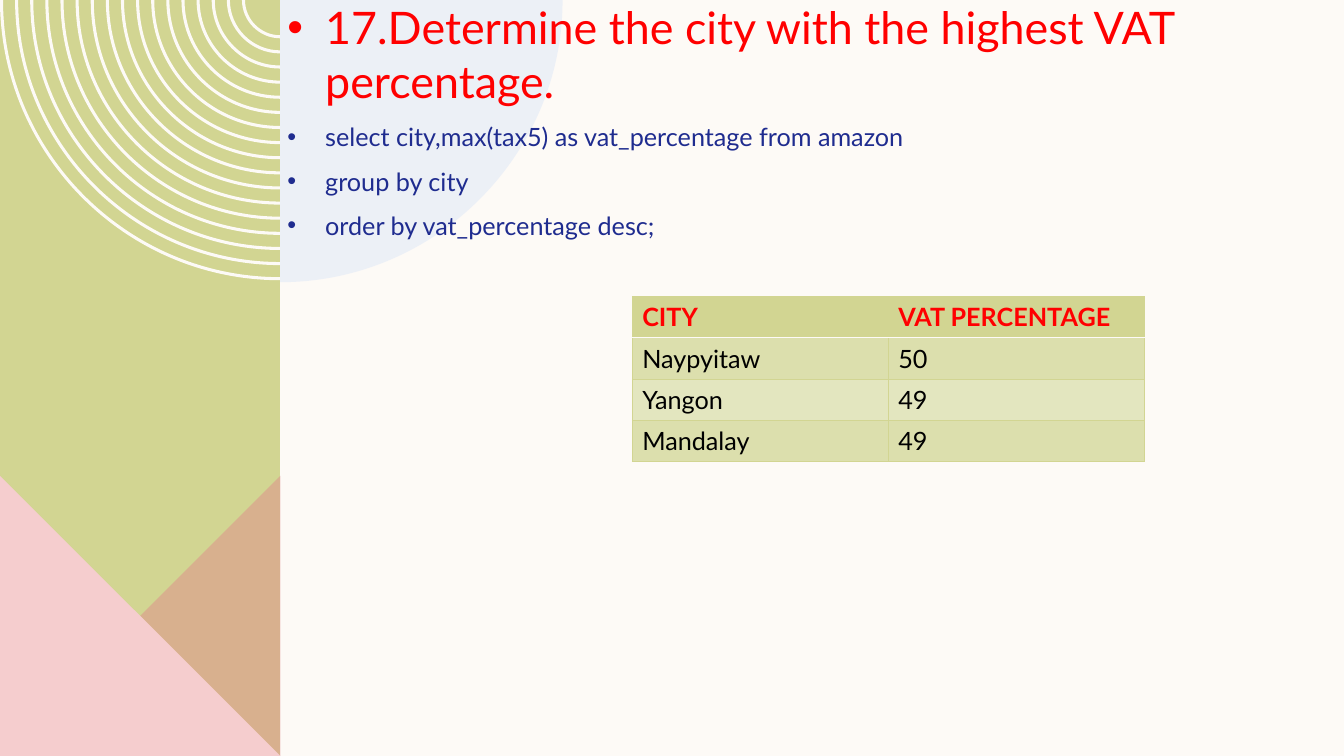
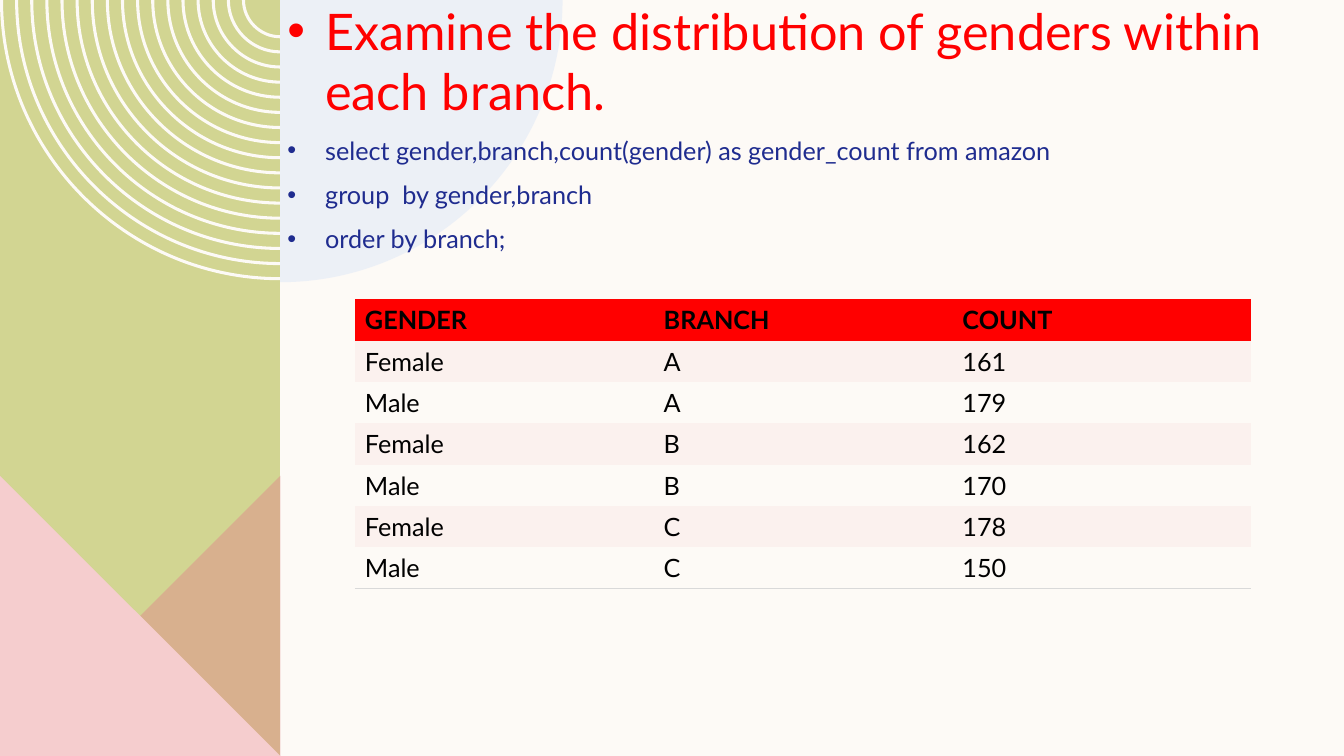
from dataclasses import dataclass

from lxml.etree import SubElement
from pptx import Presentation
from pptx.dml.color import RGBColor
from pptx.enum.text import MSO_ANCHOR, MSO_AUTO_SIZE
from pptx.oxml import parse_xml
from pptx.oxml.ns import nsdecls, qn
from pptx.util import Inches, Pt

TOP = MSO_ANCHOR.TOP
MIDDLE = MSO_ANCHOR.MIDDLE
FIXED = MSO_AUTO_SIZE.NONE
PLAIN = "{2D5ABB26-0587-4C30-8999-92F81FD0307C}"


@dataclass(frozen=True)
class Theme:
    font: str = "Lato"
    text: int = 18
    cream: str = "FDFAF6"
    green: str = "D2D592"
    lime: str = "DCDFAD"
    pale: str = "E3E6BF"
    rose: str = "DE8C8C"
    pink: str = "F5CDCE"
    blush: str = "FBF1EE"
    sky: str = "DDE7F6"
    red: str = "FF0000"
    navy: str = "1F2C8F"
    black: str = "000000"
    grey: str = "D9D9D9"


THEME = Theme()
WIDE, HIGH, SIDE = 13.33, 7.5, 2.78
ROW = 0.41


def paint(fill, hue):
    if hue is None:
        fill.background()
        return
    fill.solid()
    fill.fore_color.rgb = RGBColor.from_string(hue)


def style(para, size, hue, bold=False):
    font = para.font
    font.name = THEME.font
    font.size = Pt(size)
    font.bold = bold
    font.color.rgb = RGBColor.from_string(hue)


def arc(mid, radius, way):
    reach, pull = way * radius, 0.55
    return [
        (mid, radius),
        (mid + pull * reach, radius),
        (mid + reach, pull * radius),
        (mid + reach, 0),
    ]


def bend(shape, count, starts):
    trace = shape.element.find(".//" + qn("a:path"))
    lines = trace.findall(qn("a:lnTo"))
    for base in range(0, len(lines), count):
        for start in starts:
            group = lines[base + start:base + start + 3]
            curve = SubElement(trace, qn("a:cubicBezTo"))
            group[0].addprevious(curve)
            for line in group:
                curve.append(line[0])
                trace.remove(line)


def draw(shapes, loops, hue, alpha=100, bends=()):
    loops = [[(Inches(x), Inches(y)) for x, y in loop] for loop in loops]
    pen = shapes.build_freeform(*loops[0][0])
    for i, loop in enumerate(loops):
        if i:
            pen.move_to(*loop[0])
        pen.add_line_segments(loop[1:], close=True)
    shape = pen.convert_to_shape()
    bend(shape, len(loops[0]) - 1, bends)
    shape.shadow.inherit = False
    paint(shape.fill, hue)
    shape.line.fill.background()
    if alpha < 100:
        mark = shape.element.find(".//" + qn("a:srgbClr"))
        SubElement(mark, qn("a:alpha")).set("val", str(alpha * 1000))
    return shape


def add_art(shapes, side, high):
    top = high - side
    rings = [
        arc(side, side - 0.15 * i, -1)
        + arc(side, side - 0.15 * i - 0.03, -1)[::-1]
        for i in range(17)
    ]
    disc = [(side, 0)] + arc(side, 2.8, 1)
    return [
        draw(shapes, [[(0, 0), (side, 0), (side, high), (0, high)]], THEME.green),
        draw(shapes, rings, THEME.cream, bends=(0, 4)),
        draw(shapes, [[(side, top), (side, high), (0, high)]], THEME.rose, 50),
        draw(shapes, [[(0, top), (side, high), (0, high)]], THEME.pink),
        draw(shapes, [disc], THEME.sky, 50, bends=(1,)),
    ]


def set_master(deck, slide):
    master = deck.slide_master
    paint(master.background.fill, THEME.cream)
    for i, shape in enumerate(add_art(slide.shapes, SIDE, HIGH)):
        master.shapes.element.insert(2 + i, shape.element)


def add_query(slide, box, head, size, code):
    title = slide.shapes.title.element
    title.getparent().remove(title)
    body = slide.placeholders[1]
    body.left, body.top, body.width, body.height = map(Inches, box)
    frame = body.text_frame
    frame.word_wrap = True
    frame.auto_size = FIXED
    frame.vertical_anchor = TOP
    frame.margin_top = frame.margin_bottom = 0
    frame.text = "\n".join([head, *code])
    for i, para in enumerate(frame.paragraphs):
        para.space_before = Pt(10 if i else 0)
        style(para, THEME.text if i else size, THEME.navy if i else THEME.red)


def add_grid(slide, box, rows, fills, ink):
    left, top, width = box
    count = len(rows[0])
    frame = slide.shapes.add_table(
        len(rows), count, Inches(left), Inches(top),
        Inches(width), Inches(ROW * len(rows)),
    )
    frame.element.find(".//" + qn("a:tableStyleId")).text = PLAIN
    table = frame.table
    for col in table.columns:
        col.width = Inches(width / count)
    for i, row in enumerate(rows):
        table.rows[i].height = Inches(ROW)
        hue = fills[2 - i % 2] if i else fills[0]
        for j, word in enumerate(row):
            cell = table.cell(i, j)
            cell.text = word
            cell.vertical_anchor = MIDDLE if i else TOP
            paint(cell.fill, hue)
            style(cell.text_frame.paragraphs[0], THEME.text,
                  THEME.black if i else ink, not i)
    return list(frame.element.iter(qn("a:tcPr")))


def rule(cells, sides, hue, width):
    for cell in cells:
        for side in sides:
            line = parse_xml(
                f'<a:ln{side} {nsdecls("a")} w="{Pt(width)}"><a:solidFill>'
                f'<a:srgbClr val="{hue}"/></a:solidFill></a:ln{side}>'
            )
            cell.insert(len(cell) - 1, line)


def add_city(slide):
    add_query(
        slide, (2.75, 0, 10.58, HIGH),
        "17.Determine the city with the highest VAT percentage.", 32,
        ["select city,max(tax5) as vat_percentage from amazon",
         "group by city",
         "order by vat_percentage desc;"],
    )
    rows = [
        ("CITY", "VAT PERCENTAGE"),
        ("Naypyitaw", "50"),
        ("Yangon", "49"),
        ("Mandalay", "49"),
    ]
    cells = add_grid(slide, (6.27, 2.94, 5.08), rows,
                     (THEME.green, THEME.lime, THEME.pale), THEME.red)
    rule(cells, "LR", THEME.green, 0.5)
    rule(cells[:2], "T", THEME.green, 0.5)
    rule(cells[2:4], "T", THEME.cream, 1)
    rule(cells[:2], "B", THEME.cream, 1)
    rule(cells[2:], "B", THEME.green, 0.5)


def add_gender(slide):
    add_query(
        slide, (2.75, 0, 10.58, HIGH),
        "Examine the distribution of genders within each branch.", 36,
        ["select gender,branch,count(gender) as gender_count from amazon",
         "group  by gender,branch",
         "order by branch;"],
    )
    rows = [
        ("GENDER", "BRANCH", "COUNT"),
        ("Female", "A", "161"),
        ("Male", "A", "179"),
        ("Female", "B", "162"),
        ("Male", "B", "170"),
        ("Female", "C", "178"),
        ("Male", "C", "150"),
    ]
    cells = add_grid(slide, (3.52, 2.97, 8.89), rows,
                     (THEME.red, THEME.blush, None), THEME.black)
    rule(cells[-3:], "B", THEME.grey, 0.5)


def main():
    deck = Presentation()
    deck.slide_width, deck.slide_height = Inches(WIDE), Inches(HIGH)
    layout = deck.slide_layouts[1]
    city, gender = (deck.slides.add_slide(layout) for _ in range(2))
    set_master(deck, city)
    add_city(city)
    add_gender(gender)
    deck.save("out.pptx")


if __name__ == "__main__":
    main()
